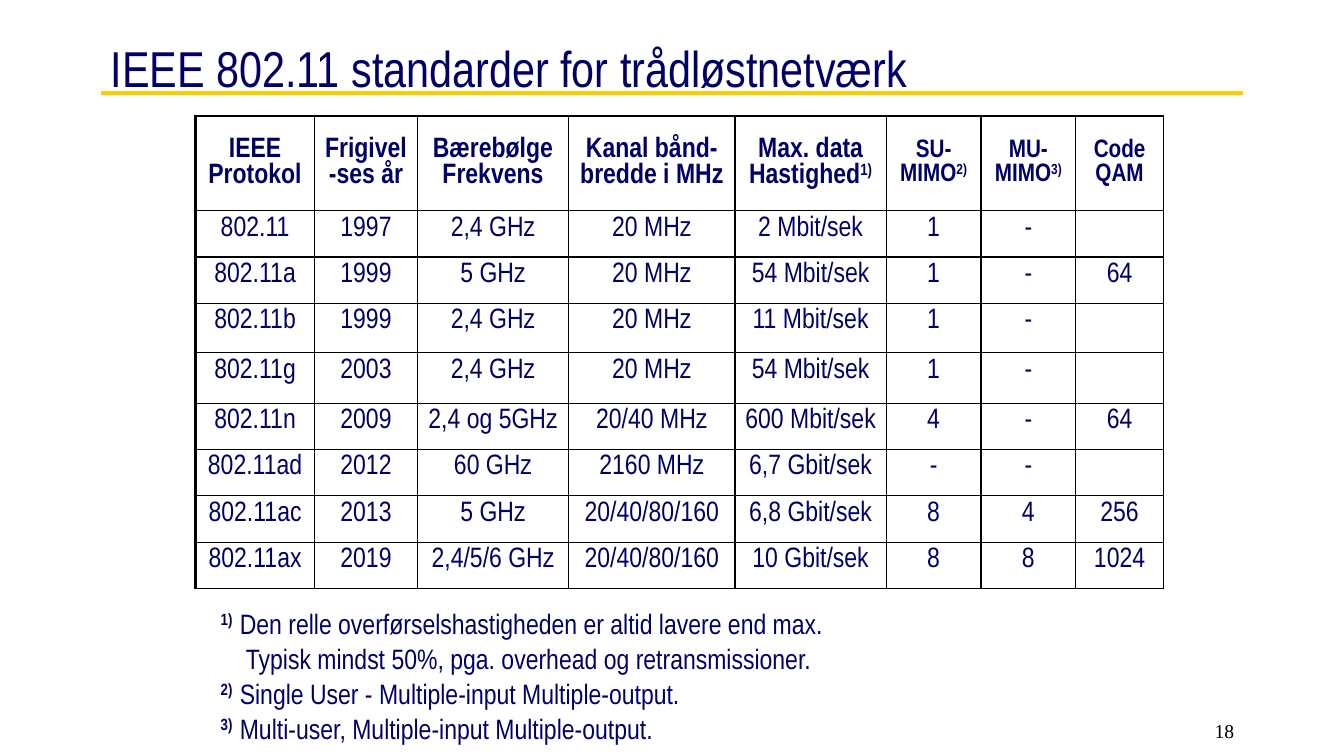
import dataclasses

import pptx
import pptx.dml.color
import pptx.enum.shapes
import pptx.enum.text
import pptx.oxml.ns
import pptx.util
from lxml import etree

Inches = pptx.util.Inches
Pt = pptx.util.Pt
Align = pptx.enum.text.PP_ALIGN
Anchor = pptx.enum.text.MSO_ANCHOR
qn = pptx.oxml.ns.qn


@dataclasses.dataclass(frozen=True)
class Theme:
    navy: str = "000066"
    gold: str = "FFCC00"
    black: str = "000000"
    white: str = "FFFFFF"
    sans: str = "Arial Narrow"
    serif: str = "Times New Roman"
    title: float = 36
    body: float = 20
    compact: float = 18
    number: float = 14
    rule: float = 3
    frame: float = 2.25
    grid: float = 1


THEME = Theme()

COLUMN_WIDTHS = [1.18, 1.02, 1.5, 1.65, 1.5, 0.94, 0.94, 0.87]
ROW_HEIGHTS = [0.94, 0.46, 0.46, 0.49, 0.5, 0.46, 0.46, 0.46, 0.46]
HEADINGS = [
    ("IEEE Protokol", "", THEME.body),
    ("Frigivel-ses år", "", THEME.body),
    ("Bærebølge\nFrekvens", "", THEME.body),
    ("Kanal bånd-bredde i MHz", "", THEME.body),
    ("Max. data Hastighed", "1)", THEME.body),
    ("SU-MIMO", "2)", THEME.compact),
    ("MU-MIMO", "3)", THEME.compact),
    ("Code\nQAM", "", THEME.compact),
]
STANDARDS = [
    ("802.11", "1997", "2,4 GHz", "20 MHz", "2 Mbit/sek", "1", "-", ""),
    ("802.11a", "1999", "5 GHz", "20 MHz", "54 Mbit/sek", "1", "-", "64"),
    ("802.11b", "1999", "2,4 GHz", "20 MHz", "11 Mbit/sek", "1", "-", ""),
    ("802.11g", "2003", "2,4 GHz", "20 MHz", "54 Mbit/sek", "1", "-", ""),
    ("802.11n", "2009", "2,4 og 5GHz", "20/40 MHz", "600 Mbit/sek", "4", "-", "64"),
    ("802.11ad", "2012", "60 GHz", "2160 MHz", "6,7 Gbit/sek", "-", "-", ""),
    ("802.11ac", "2013", "5 GHz", "20/40/80/160", "6,8 Gbit/sek", "8", "4", "256"),
    ("802.11ax", "2019", "2,4/5/6 GHz", "20/40/80/160", "10 Gbit/sek", "8", "8", "1024"),
]
NOTES = [
    ("1)", "Den relle overførselshastigheden er altid lavere end max."),
    ("", "Typisk mindst 50%, pga. overhead og retransmissioner."),
    ("2)", "Single User - Multiple-input Multiple-output."),
    ("3)", "Multi-user, Multiple-input Multiple-output."),
]


def rgb(value):
    return pptx.dml.color.RGBColor.from_string(value)


def apply(target, formats):
    for name, value in formats.items():
        setattr(target, name, value)


def write(paragraph, text, size=THEME.body, bold=False, raised=False,
          face=THEME.sans, color=THEME.navy):
    for index, line in enumerate(text.split("\n")):
        if index:
            paragraph.add_line_break()
        run = paragraph.add_run()
        run.text = line
        apply(run.font, {"size": Pt(size), "bold": bold, "name": face})
        run.font.color.rgb = rgb(color)
        if raised:
            run.font._element.set("baseline", "30000")


def draw_border(cell, side, width):
    line = etree.SubElement(cell._tc.get_or_add_tcPr(), qn("a:ln" + side),
                            w=str(Pt(width)))
    fill = etree.SubElement(line, qn("a:solidFill"))
    etree.SubElement(fill, qn("a:srgbClr"), val=THEME.black)


def add_title(slide, left, top, width, height):
    title = slide.shapes.title
    apply(title, {"left": Inches(left), "top": Inches(top),
                  "width": Inches(width), "height": Inches(height)})
    apply(title.text_frame, {"word_wrap": True, "vertical_anchor": Anchor.MIDDLE,
                             "auto_size": pptx.enum.text.MSO_AUTO_SIZE.NONE})
    heading = title.text_frame.paragraphs[0]
    heading.alignment = Align.LEFT
    write(heading, "IEEE 802.11 standarder for trådløstnetværk", THEME.title)

    rule_y = Inches(top + 0.75)
    rule = slide.shapes.add_connector(
        pptx.enum.shapes.MSO_CONNECTOR.STRAIGHT,
        Inches(left), rule_y, Inches(left + width), rule_y)
    rule.line.color.rgb = rgb(THEME.gold)
    rule.line.width = Pt(THEME.rule)
    etree.SubElement(rule._element.spPr, qn("a:effectLst"))


def add_standards(slide, left, top, width, height):
    table = slide.shapes.add_table(
        len(ROW_HEIGHTS), len(COLUMN_WIDTHS),
        Inches(left), Inches(top), Inches(width), Inches(height)).table
    table.horz_banding = False
    for column, column_width in zip(table.columns, COLUMN_WIDTHS):
        column.width = Inches(column_width)
    for row, row_height in zip(table.rows, ROW_HEIGHTS):
        row.height = Inches(row_height)

    body = [[(text, "", THEME.body) for text in row] for row in STANDARDS]
    for r, entries in enumerate([HEADINGS] + body):
        for c, (text, mark, size) in enumerate(entries):
            cell = table.cell(r, c)
            cell.vertical_anchor = Anchor.TOP if r else Anchor.MIDDLE
            borders = {"L": THEME.grid if c else THEME.frame, "R": THEME.grid,
                       "T": THEME.grid if r else THEME.frame, "B": THEME.grid}
            for side, border_width in borders.items():
                draw_border(cell, side, border_width)
            cell.fill.solid()
            cell.fill.fore_color.rgb = rgb(THEME.white)
            paragraph = cell.text_frame.paragraphs[0]
            paragraph.alignment = Align.CENTER
            if text:
                write(paragraph, text, size, bold=r == 0)
            if mark:
                write(paragraph, mark, size, bold=True, raised=True)


def add_text_box(slide, left, top, width, height):
    frame = slide.shapes.add_textbox(
        Inches(left), Inches(top), Inches(width), Inches(height)).text_frame
    frame.word_wrap = True
    return frame


def add_notes(slide, left, top, width, height):
    frame = add_text_box(slide, left, top, width, height)
    for index, (mark, text) in enumerate(NOTES):
        paragraph = frame.add_paragraph() if index else frame.paragraphs[0]
        paragraph.line_spacing = Pt(25)
        indent = Inches(0.19 if mark else 0.25)
        properties = paragraph._p.get_or_add_pPr()
        properties.set("marL", str(indent))
        properties.set("indent", str(-indent if mark else 0))
        if mark:
            write(paragraph, mark, bold=True, raised=True)
            write(paragraph, "\t" + text)
        else:
            write(paragraph, text)


def add_page_number(slide, left, top, width, height):
    number = add_text_box(slide, left, top, width, height).paragraphs[0]
    number.alignment = Align.RIGHT
    write(number, "18", THEME.number, face=THEME.serif, color=THEME.black)


def main():
    deck = pptx.Presentation()
    apply(deck, {"slide_width": Inches(13.33), "slide_height": Inches(7.5)})
    slide = deck.slides.add_slide(deck.slide_layouts[5])
    add_title(slide, 1, 0.17, 11.33, 1)
    add_standards(slide, 1.94, 1.15, sum(COLUMN_WIDTHS), sum(ROW_HEIGHTS))
    add_notes(slide, 2.09, 5.95, 9.21, 1.48)
    add_page_number(slide, 9.56, 7.08, 2.78, 0.25)
    deck.save("out.pptx")


if __name__ == "__main__":
    main()
